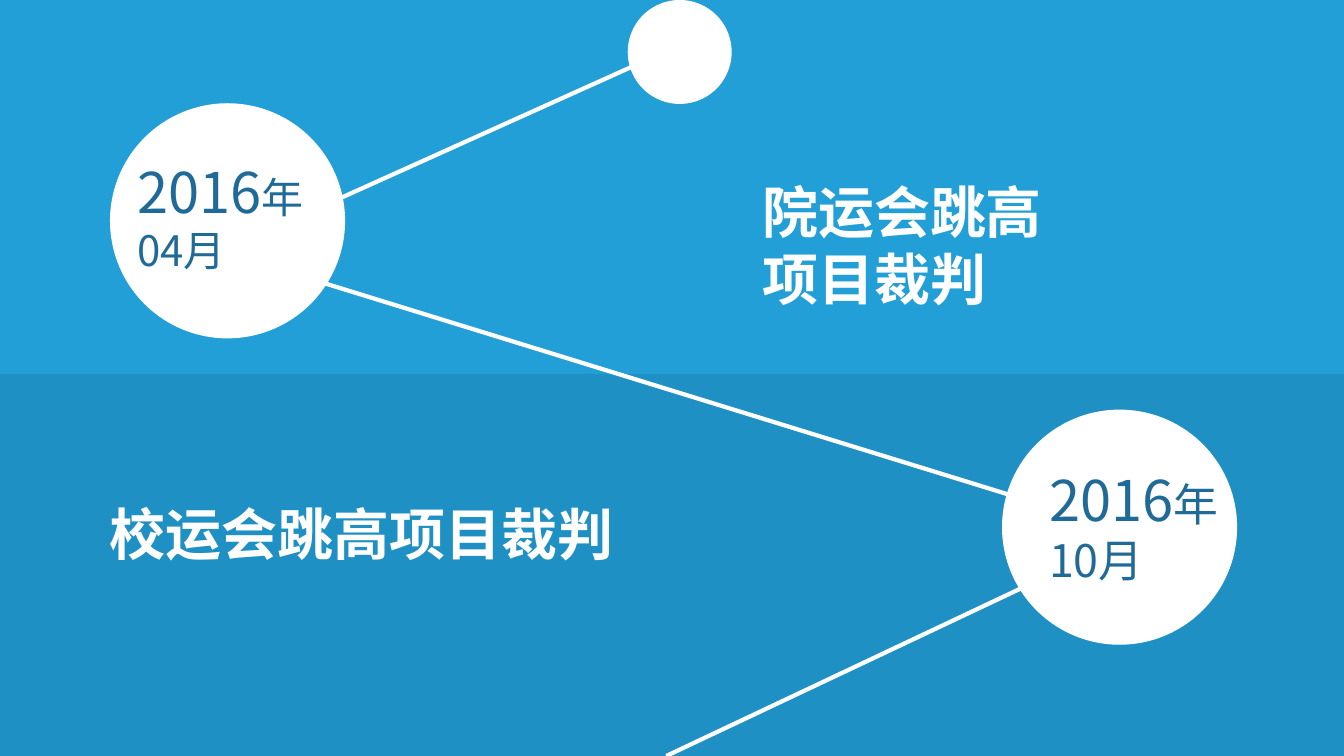
from lxml import etree
from pptx import Presentation
from pptx import util as u
from pptx.dml.color import RGBColor
from pptx.enum import shapes, text
from pptx.oxml.ns import qn

HUES = {"sky": "229FD7", "sea": "1F90C3", "white": "FFFFFF", "ink": "206A98"}
WIDE, HIGH = 33.87, 19.05
SPLIT = 9.42


class Deck:
    """Holds the style and the current slide, and draws each kind of element."""

    font = "Noto Sans CJK SC"
    inset = u.Cm(0.13)

    def __init__(self, slide):
        self.slide = slide

    def hue(self, name):
        return RGBColor.from_string(HUES[name])

    def shape(self, kind, x, y, w, h, hue, edge=0):
        item = self.slide.shapes.add_shape(kind, u.Cm(x), u.Cm(y), u.Cm(w), u.Cm(h))
        item.shadow.inherit = False
        item.fill.solid()
        item.fill.fore_color.rgb = self.hue(hue)
        if edge:
            item.line.color.rgb = self.hue(hue)
            item.line.width = u.Pt(edge)
        else:
            item.line.fill.background()

    def band(self, y, h, hue):
        self.shape(shapes.MSO_SHAPE.RECTANGLE, 0, y, 34.26, h, hue)

    def disc(self, x, y, size, edge=0):
        self.shape(shapes.MSO_SHAPE.OVAL, x, y, size, size, "white", edge)

    def line(self, x1, y1, x2, y2):
        item = self.slide.shapes.add_connector(
            shapes.MSO_CONNECTOR.STRAIGHT, u.Cm(x1), u.Cm(y1), u.Cm(x2), u.Cm(y2))
        item.line.color.rgb = self.hue("white")
        item.line.width = u.Pt(3)
        props = item._element.find(qn("p:spPr"))
        etree.SubElement(props, qn("a:effectLst"))

    def label(self, x, y, w, h, parts, hue, bold=False):
        box = self.slide.shapes.add_textbox(u.Cm(x), u.Cm(y), u.Cm(w), u.Cm(h))
        frame = box.text_frame
        frame.word_wrap = True
        frame.auto_size = text.MSO_AUTO_SIZE.SHAPE_TO_FIT_TEXT
        frame.margin_left = frame.margin_right = self.inset
        frame.margin_top = frame.margin_bottom = self.inset
        for words, size in parts:
            run = frame.paragraphs[0].add_run()
            run.text = words
            run.font.size = u.Pt(size)
            run.font.bold = bold
            run.font.color.rgb = self.hue(hue)
            run.font.name = self.font
            east = etree.SubElement(run._r.get_or_add_rPr(), qn("a:ea"))
            east.set("typeface", self.font)

    def date(self, x, y, w, h, year, month, size):
        self.label(x, y, w, h, [(year, 40), (month, size)], "ink")

    def title(self, x, y, w, h, words):
        self.label(x, y, w, h, [(words, 40)], "white", True)


def main():
    show = Presentation()
    show.slide_width, show.slide_height = u.Cm(WIDE), u.Cm(HIGH)
    deck = Deck(show.slides.add_slide(show.slide_layouts[6]))

    deck.band(0, SPLIT, "sky")
    deck.band(SPLIT, HIGH - SPLIT, "sea")

    deck.disc(15.82, 0, 2.62)
    for x, y in ((2.79, 2.62), (25.27, 10.34)):
        deck.disc(x, y, 5.89, 1)

    for ends in ((16.33, 1.5, 8.05, 5.23),
                 (7.7, 6.99, 26.19, 12.7),
                 (26.57, 14.43, 16.79, HIGH)):
        deck.line(*ends)

    deck.date(3.33, 3.84, 4.8, 3.45, "2016", "年04月", 30)
    deck.title(19.08, 4.34, 7.49, 4.22, "院运会跳高项目裁判")
    deck.date(26.31, 11.61, 4.52, 3.61, "2016", "年10月", 32)
    deck.title(2.64, 12.47, 16.13, 2.24, "校运会跳高项目裁判")

    show.save("out.pptx")


if __name__ == "__main__":
    main()
